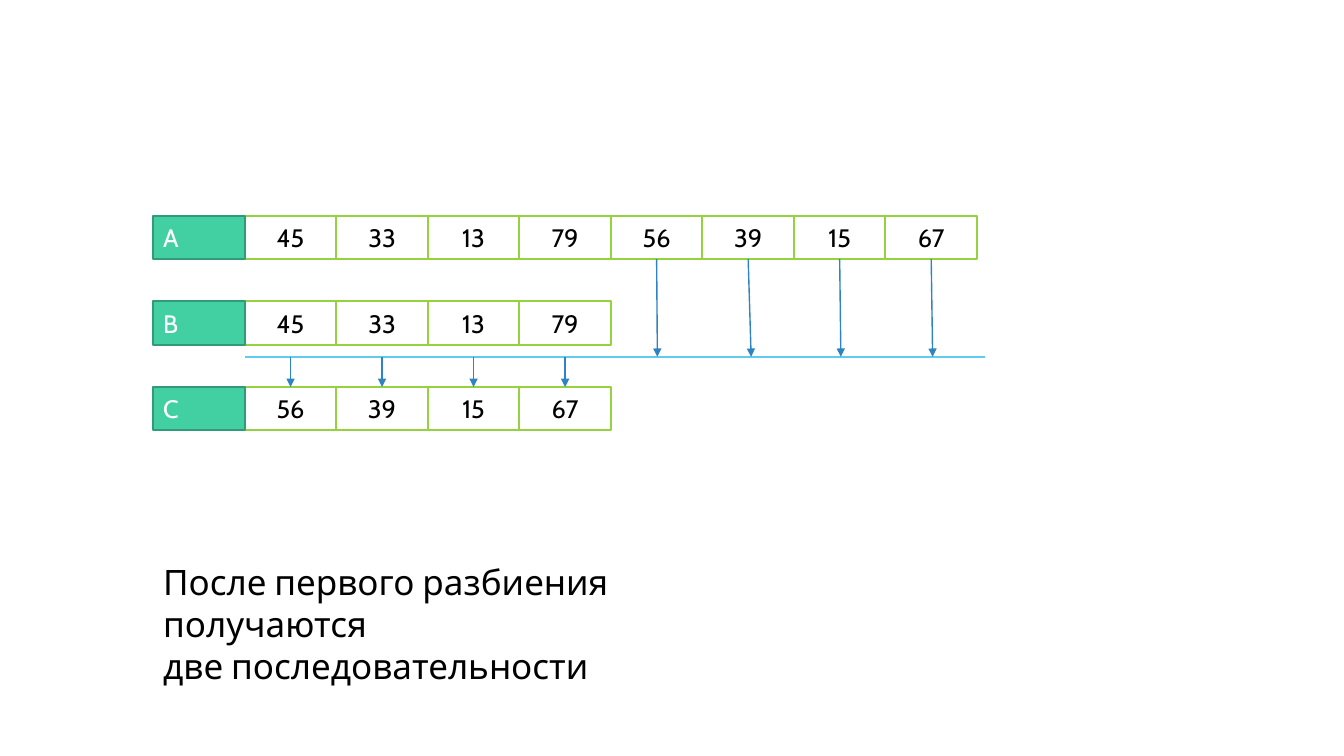
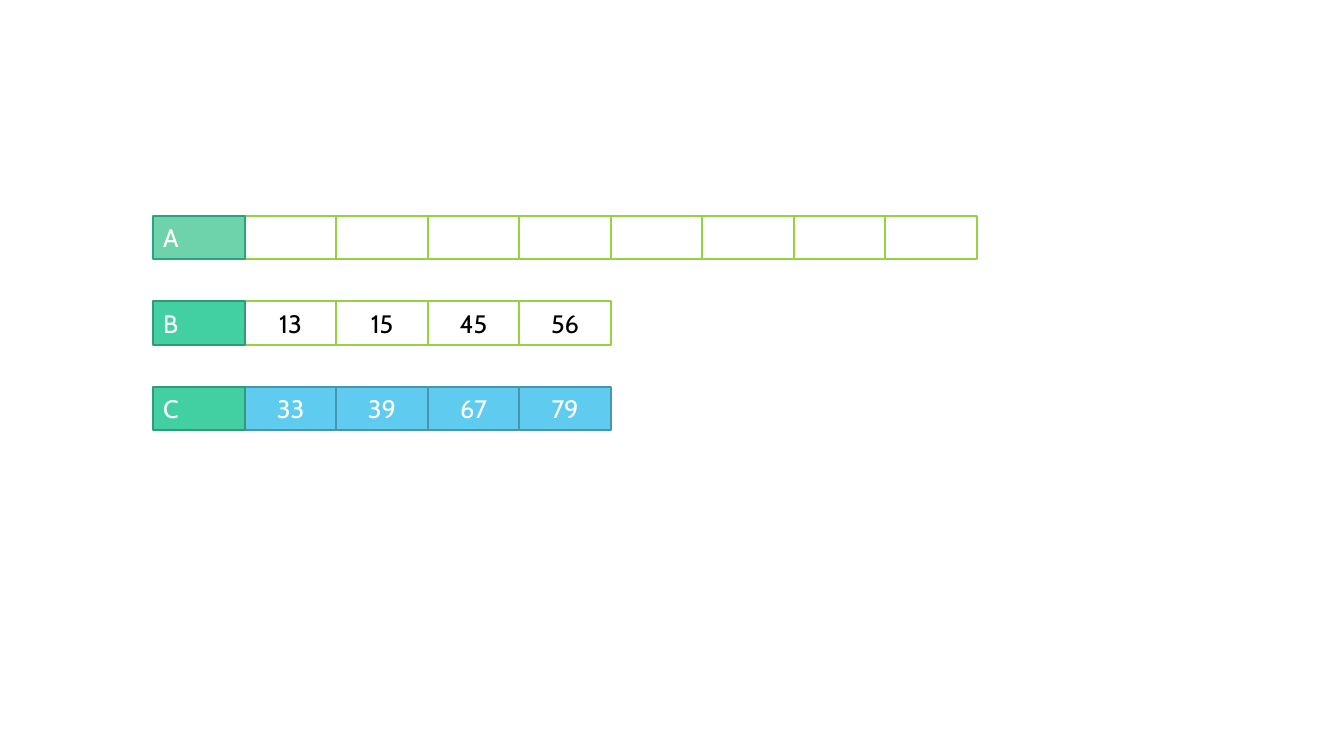
from dataclasses import dataclass

from lxml.etree import SubElement
from pptx import Presentation
from pptx.dml.color import RGBColor as Rgb
from pptx.enum.shapes import MSO_CONNECTOR as Connector, MSO_SHAPE as Shape
from pptx.enum.text import MSO_ANCHOR as Anchor, MSO_AUTO_SIZE as AutoSize, PP_ALIGN as Align
from pptx.oxml.ns import qn
from pptx.util import Inches, Pt


@dataclass(frozen=True)
class CellStyle:
    """Fill, outline, text colour and alignment of a cell."""
    fill: str
    outline: str
    text: str
    align: Align = Align.CENTER


@dataclass(frozen=True)
class Theme:
    """Colours and type sizes shared by the slides."""
    font: str = "Cabin"
    cell_size: int = 18
    caption_size: int = 25
    outline_width: float = 1.5
    connector_width: float = 1
    text: str = "000000"
    rail: str = "5FCBEF"
    arrow: str = "2E83C3"
    label: CellStyle = CellStyle("42D0A2", "319A78", "FFFFFF", Align.LEFT)
    faded_label: CellStyle = CellStyle("6ED2AA", "29A57D", "FFFFFF", Align.LEFT)
    plain: CellStyle = CellStyle("FFFFFF", "96D141", "000000")
    filled: CellStyle = CellStyle("5FCBEF", "4696B1", "FFFFFF")


THEME = Theme()
ROW_LEFT, ROW_RIGHT, COLUMNS = 1.52, 9.69, 9
CELL_WIDTH = (ROW_RIGHT - ROW_LEFT) / COLUMNS
CELL_HEIGHT = 0.43
ROW_TOPS = {"A": 2.14, "B": 2.99, "C": 3.84}
RAIL_TOP = 3.54


def write_text(para, text, size, color, align=Align.LEFT):
    """Put one formatted run in a paragraph."""
    para.alignment = align
    span = para.add_run()
    span.text = text
    for name, value in {"name": THEME.font, "size": Pt(size)}.items():
        setattr(span.font, name, value)
    span.font.color.rgb = Rgb.from_string(color)


def add_cell(slide, column, top, text, style):
    """Draw one cell of a sequence and return it."""
    left = ROW_LEFT + column * CELL_WIDTH
    cell = slide.shapes.add_shape(
        Shape.RECTANGLE, Inches(left), Inches(top), Inches(CELL_WIDTH), Inches(CELL_HEIGHT))
    cell.shadow.inherit = False
    cell.fill.solid()
    cell.fill.fore_color.rgb = Rgb.from_string(style.fill)
    cell.line.color.rgb = Rgb.from_string(style.outline)
    cell.line.width = Pt(THEME.outline_width)
    cell.text_frame.vertical_anchor = Anchor.MIDDLE
    if text:
        write_text(cell.text_frame.paragraphs[0], text, THEME.cell_size, style.text, style.align)
    return cell


def add_sequence(slide, name, values, style=THEME.plain, label_style=THEME.label):
    """Draw a row of values with its label on top and return the value cells."""
    top = ROW_TOPS[name]
    cells = [add_cell(slide, column, top, value, style)
             for column, value in enumerate(values, start=1)]
    add_cell(slide, 0, top, name, label_style)
    return cells


def add_line(slide, start, end, color, arrow=False):
    """Draw a straight line, with an arrowhead at its end if asked."""
    line = slide.shapes.add_connector(
        Connector.STRAIGHT, *(Inches(length) for length in (*start, *end)))
    line.line.color.rgb = Rgb.from_string(color)
    line.line.width = Pt(THEME.connector_width)
    if arrow:
        SubElement(line.line._get_or_add_ln(), qn("a:tailEnd"), type="triangle")
    SubElement(line._element.spPr, qn("a:effectLst"))
    return line


def add_caption(slide, lines):
    """Write the caption below the sequences."""
    box = slide.shapes.add_textbox(Inches(ROW_LEFT), Inches(5.51), Inches(6.47), Inches(0.94))
    frame = box.text_frame
    for name, value in {"word_wrap": True, "auto_size": AutoSize.SHAPE_TO_FIT_TEXT}.items():
        setattr(frame, name, value)
    for index, text in enumerate(lines):
        para = frame.add_paragraph() if index else frame.paragraphs[0]
        write_text(para, text, THEME.caption_size, THEME.text)


def build_split(slide):
    """Show sequence A being split into B and C."""
    values = ["45", "33", "13", "79", "56", "39", "15", "67"]
    add_line(slide, (9.77, RAIL_TOP), (2.43, RAIL_TOP), THEME.rail)
    source = add_sequence(slide, "A", values)
    target = add_sequence(slide, "C", values[4:])
    add_sequence(slide, "B", values[:4])
    for cell, end in zip(source[4:], (6.52, 7.45, 8.34, 9.25)):
        arrow = add_line(slide, (end, ROW_TOPS["A"] + CELL_HEIGHT), (end, RAIL_TOP),
                         THEME.arrow, arrow=True)
        arrow.begin_connect(cell, 2)
    for column, cell in enumerate(target, start=1):
        center = ROW_LEFT + (column + 0.5) * CELL_WIDTH
        arrow = add_line(slide, (center, RAIL_TOP), (center, ROW_TOPS["C"]),
                         THEME.arrow, arrow=True)
        arrow.end_connect(cell, 0)
    add_caption(slide, ["После первого разбиения получаются", "две последовательности"])


def build_sorted(slide):
    """Show the ordered sequences B and C and the emptied A."""
    add_sequence(slide, "A", [""] * 8, label_style=THEME.faded_label)
    add_sequence(slide, "C", ["33", "39", "67", "79"], THEME.filled)
    add_sequence(slide, "B", ["13", "15", "45", "56"])


def main():
    """Build the deck and save it."""
    deck = Presentation()
    deck.slide_width, deck.slide_height = Inches(13.33), Inches(7.5)
    for build in (build_split, build_sorted):
        build(deck.slides.add_slide(deck.slide_layouts[6]))
    deck.save("out.pptx")


if __name__ == "__main__":
    main()
